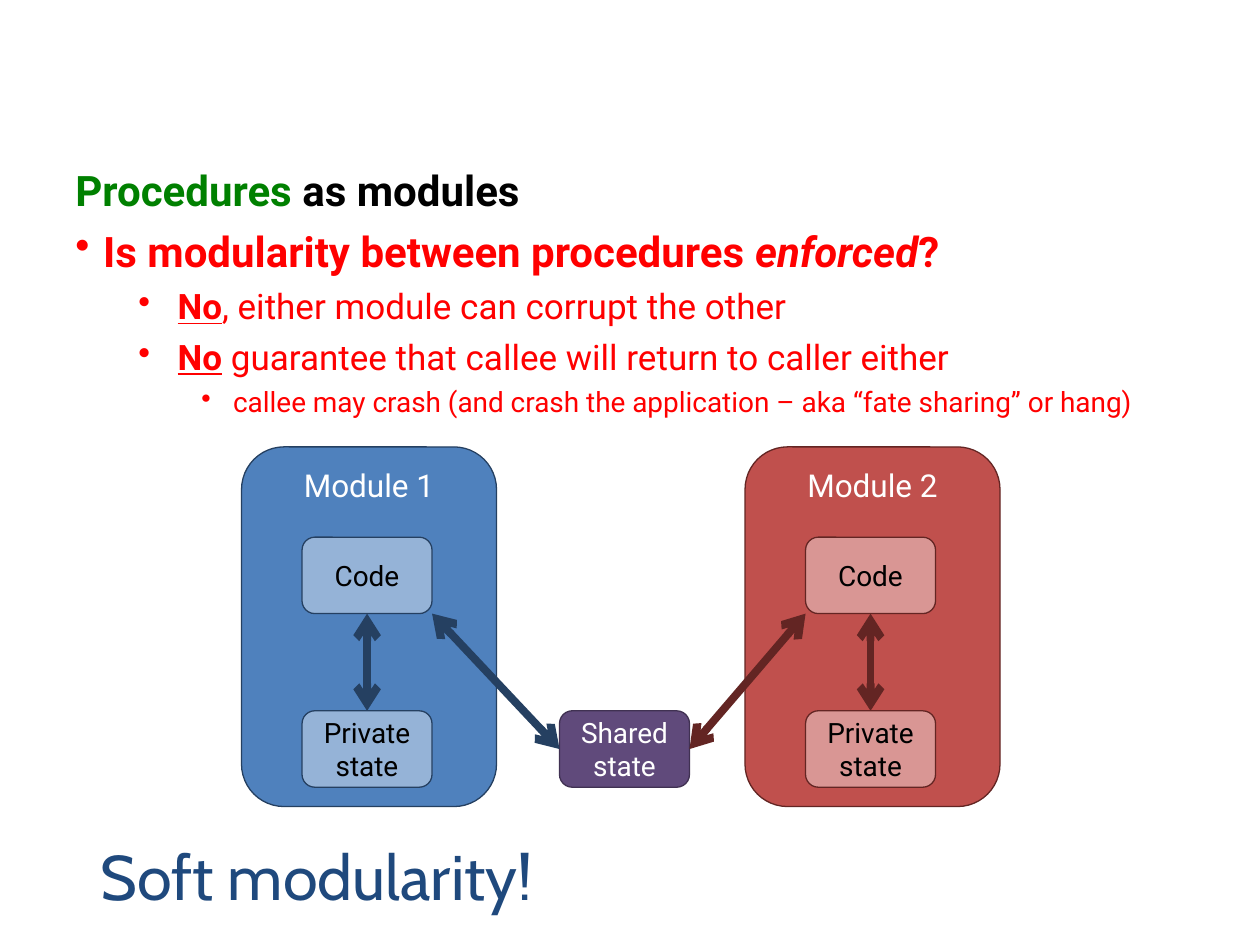
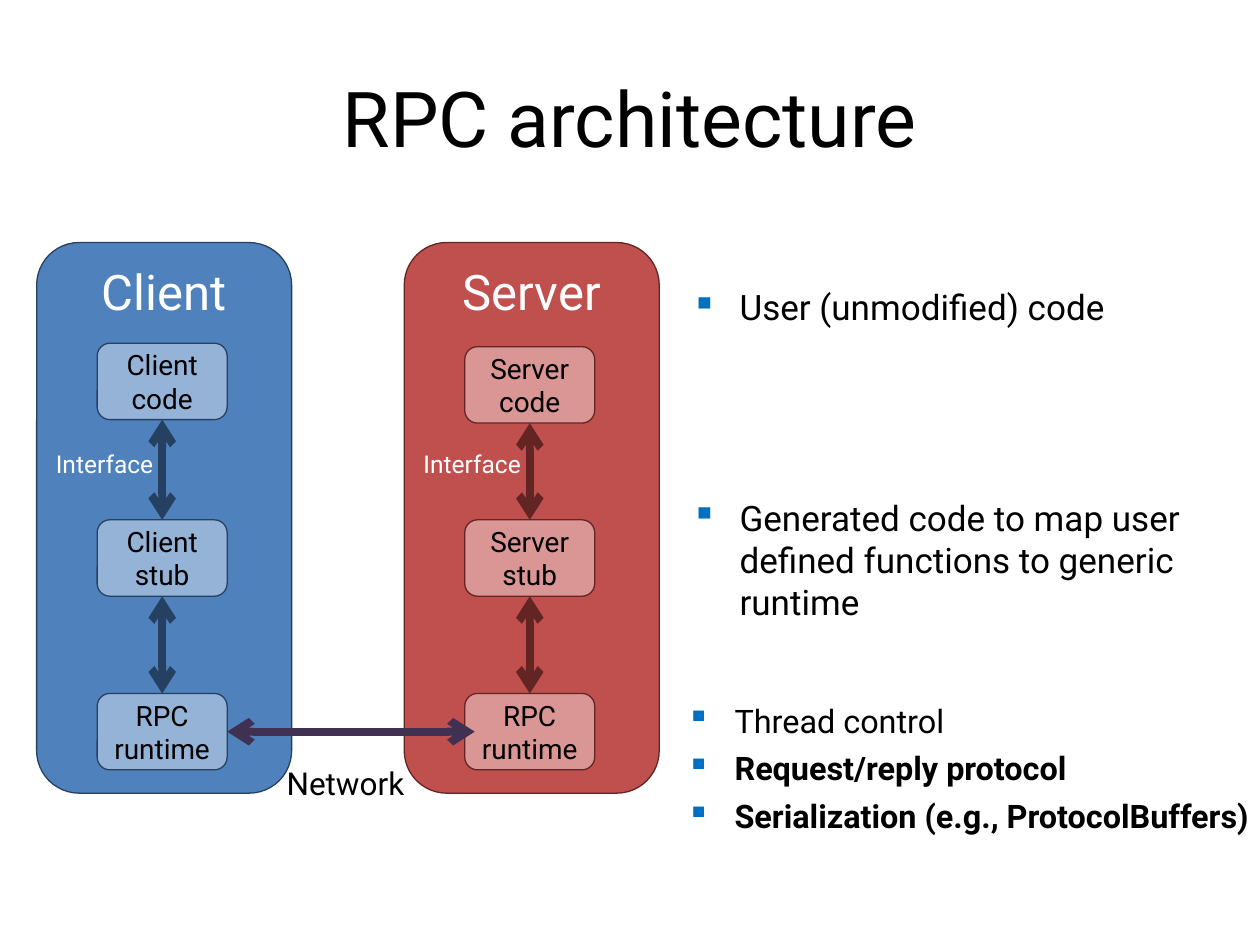
from dataclasses import dataclass, field
from itertools import pairwise
from typing import Any

from lxml.etree import SubElement
from pptx import Presentation
from pptx.dml.color import RGBColor
from pptx.enum.shapes import MSO_CONNECTOR, MSO_SHAPE
from pptx.enum.text import MSO_ANCHOR, PP_ALIGN
from pptx.oxml.ns import qn
from pptx.slide import Slide
from pptx.text.text import TextFrame
from pptx.util import Cm, Pt

COLORS = {
    "black": "000000",
    "white": "FFFFFF",
    "green": "008000",
    "red": "FF0000",
    "bullet blue": "0070C0",
    "heading blue": "1F497D",
    "blue": "4F81BD",
    "light blue": "95B3D7",
    "dark blue": "254061",
    "brick": "C0504D",
    "light brick": "D99694",
    "dark brick": "632523",
    "purple": "604A7B",
    "dark purple": "403152",
}
UNIT_WIDTH, UNIT_HEIGHT = 2.62, 1.54
MODULE_WIDTH = 5.14
UNIT_INSET = 1.22
BOLD = {"bold": True}
ITALIC = {"bold": True, "italic": True}
STRESSED = {"bold": True, "underline": True}


@dataclass(frozen=True)
class Theme:
    fill: str
    unit_fill: str
    line: str


@dataclass(frozen=True)
class Span:
    text: str
    color: str = "black"
    format: dict[str, Any] = field(default_factory=dict)


@dataclass(frozen=True)
class Bullet:
    symbol: str
    color: str
    margin: float
    hanging: float
    level: int = 0


@dataclass(frozen=True)
class Line:
    spans: tuple[Span, ...]
    size: float
    bullet: Bullet | None = None
    space: float = 0


@dataclass(frozen=True)
class Box:
    left: float
    top: float
    width: float
    height: float

    def lengths(self) -> tuple[Cm, Cm, Cm, Cm]:
        return Cm(self.left), Cm(self.top), Cm(self.width), Cm(self.height)


@dataclass(frozen=True)
class Unit:
    text: str
    top: float


@dataclass(frozen=True)
class Module:
    name: str
    name_size: float
    theme: Theme
    box: Box
    units: tuple[Unit, ...]


CLIENT_THEME = Theme("blue", "light blue", "dark blue")
SERVER_THEME = Theme("brick", "light brick", "dark brick")
TOP_DOT = Bullet("•", "red", 0.56, 0.56)
MIDDLE_DOT = Bullet("•", "red", 2.06, 0.79, 1)
LOW_DOT = Bullet("•", "red", 3.18, 0.64, 2)
SQUARE = Bullet("▪", "bullet blue", 0.97, 0.97)


def rgb(name: str) -> RGBColor:
    return RGBColor.from_string(COLORS[name])


def write_lines(
    frame: TextFrame,
    lines: list[Line],
    align: PP_ALIGN = PP_ALIGN.LEFT,
    font: str = "Roboto",
) -> None:
    for index, line in enumerate(lines):
        para = frame.paragraphs[0] if index == 0 else frame.add_paragraph()
        para.alignment = align
        if line.bullet:
            bullet = line.bullet
            para.level = bullet.level
            properties = para._p.get_or_add_pPr()
            properties.set("marL", str(Cm(bullet.margin)))
            properties.set("indent", str(-Cm(bullet.hanging)))
            color = SubElement(properties, qn("a:buClr"))
            SubElement(color, qn("a:srgbClr"), val=COLORS[bullet.color])
            SubElement(properties, qn("a:buChar"), char=bullet.symbol)
        para.space_before = Pt(line.space if index else 0)
        for piece in line.spans:
            span = para.add_run()
            span.text = piece.text
            values = {"name": font, "size": Pt(line.size)} | piece.format
            for name, value in values.items():
                setattr(span.font, name, value)
            span.font.color.rgb = rgb(piece.color)


def add_text(
    page: Slide,
    box: Box,
    lines: list[Line],
    align: PP_ALIGN = PP_ALIGN.LEFT,
    font: str = "Roboto",
    anchor: MSO_ANCHOR = MSO_ANCHOR.TOP,
    wrap: bool = True,
) -> None:
    frame = page.shapes.add_textbox(*box.lengths()).text_frame
    frame.word_wrap = wrap
    frame.vertical_anchor = anchor
    write_lines(frame, lines, align, font)


def add_block(
    page: Slide,
    box: Box,
    text: str,
    size: float,
    fill: str,
    line: str,
    color: str,
    anchor: MSO_ANCHOR = MSO_ANCHOR.MIDDLE,
) -> None:
    shape = page.shapes.add_shape(MSO_SHAPE.ROUNDED_RECTANGLE, *box.lengths())
    shape.shadow.inherit = False
    shape.fill.solid()
    shape.fill.fore_color.rgb = rgb(fill)
    shape.line.color.rgb = rgb(line)
    shape.line.width = Pt(0.75)
    shape.text_frame.vertical_anchor = anchor
    rows = [Line((Span(row, color),), size) for row in text.split("\n")]
    write_lines(shape.text_frame, rows, PP_ALIGN.CENTER)


def add_arrow(
    page: Slide, start: tuple[float, float], end: tuple[float, float], color: str
) -> None:
    ends = [Cm(value) for value in (*start, *end)]
    arrow = page.shapes.add_connector(MSO_CONNECTOR.STRAIGHT, *ends)
    arrow.line.color.rgb = rgb(color)
    arrow.line.width = Pt(4.5)
    properties = arrow.element.spPr
    outline = properties.find(qn("a:ln"))
    for tip in ("a:headEnd", "a:tailEnd"):
        SubElement(outline, qn(tip), type="arrow")
    SubElement(properties, qn("a:effectLst"))


def add_module(page: Slide, module: Module) -> None:
    theme = module.theme
    add_block(page, module.box, module.name, module.name_size, theme.fill,
              theme.line, "white", MSO_ANCHOR.TOP)
    left = module.box.left + UNIT_INSET
    for unit in module.units:
        box = Box(left, unit.top, UNIT_WIDTH, UNIT_HEIGHT)
        add_block(page, box, unit.text, 16, theme.unit_fill, theme.line, "black")
    center = left + UNIT_WIDTH / 2
    for upper, lower in pairwise(module.units):
        add_arrow(page, (center, upper.top + UNIT_HEIGHT), (center, lower.top),
                  theme.line)


def build_procedures(page: Slide) -> None:
    add_text(page, Box(1.27, 3.2, 23.75, 13.82), [
        Line((Span("Procedures ", "green", BOLD),
              Span("as modules", "black", BOLD)), 24),
        Line((Span("Is modularity between procedures ", "red", BOLD),
              Span("enforced", "red", ITALIC),
              Span("?", "red", BOLD)), 24, TOP_DOT, 6),
        Line((Span("No", "red", STRESSED),
              Span(", either module can corrupt the other", "red")),
             20, MIDDLE_DOT, 5),
        Line((Span("No", "red", STRESSED),
              Span(" guarantee that callee will return to caller either", "red")),
             20, MIDDLE_DOT, 5),
        Line((Span("callee may crash (and crash the application – aka "
                   "“fate sharing” or hang)", "red"),), 16, LOW_DOT, 4),
    ])
    code_top, state_top = 10.83, 14.33
    units = (Unit("Code", code_top), Unit("Private\nstate", state_top))
    first_left, second_left = 4.87, 15.02
    for number, left, theme in ((1, first_left, CLIENT_THEME),
                                (2, second_left, SERVER_THEME)):
        box = Box(left, 9.01, MODULE_WIDTH, 7.25)
        add_module(page, Module(f"Module {number}", 18, theme, box, units))
    shared = Box(11.28, state_top, UNIT_WIDTH, UNIT_HEIGHT)
    add_block(page, shared, "Shared\nstate", 16, "purple", "dark purple", "white")
    code_bottom = code_top + UNIT_HEIGHT
    shared_middle = state_top + UNIT_HEIGHT / 2
    add_arrow(page, (first_left + UNIT_INSET + UNIT_WIDTH, code_bottom),
              (shared.left, shared_middle), CLIENT_THEME.line)
    add_arrow(page, (second_left + UNIT_INSET, code_bottom),
              (shared.left + UNIT_WIDTH, shared_middle), SERVER_THEME.line)
    add_text(page, Box(1.78, 16.76, 12.85, 1.78),
             [Line((Span("Soft modularity!", "heading blue"),), 36)], font="Cabin")


def build_architecture(page: Slide) -> None:
    add_text(page, Box(1.27, 0.76, 22.86, 3.18),
             [Line((Span("RPC architecture"),), 44)],
             PP_ALIGN.CENTER, anchor=MSO_ANCHOR.MIDDLE)
    stub_top, runtime_top = 10.48, 13.98
    client_left, server_left = 0.74, 8.15
    for name, left, theme, code_top in (
        ("Client", client_left, CLIENT_THEME, 6.92),
        ("Server", server_left, SERVER_THEME, 6.99),
    ):
        units = (Unit(f"{name}\ncode", code_top), Unit(f"{name}\nstub", stub_top),
                 Unit("RPC\nruntime", runtime_top))
        box = Box(left, 4.89, MODULE_WIDTH, 11.1)
        add_module(page, Module(name, 28, theme, box, units))
        add_text(page, Box(left + 0.06, 8.92, 2.62, 0.86),
                 [Line((Span("Interface", "white"),), 14)],
                 PP_ALIGN.CENTER, wrap=False)
    runtime_middle = runtime_top + UNIT_HEIGHT / 2
    add_arrow(page, (server_left + UNIT_INSET + 0.2, runtime_middle),
              (client_left + UNIT_INSET + UNIT_WIDTH, runtime_middle), "dark purple")
    add_text(page, Box(5.44, 15.27, 3.05, 1.02),
             [Line((Span("Network"),), 18)], PP_ALIGN.CENTER, wrap=False)
    for top, note in (
        (5.64, "User (unmodified) code"),
        (9.88, "Generated code to map user defined functions to generic runtime"),
    ):
        add_text(page, Box(13.69, top, 10.97, 3.76),
                 [Line((Span(note),), 20, SQUARE)])
    add_text(page, Box(13.59, 14, 13.61, 3.76), [
        Line((Span(text, "black", values),), 18.5, SQUARE, 5)
        for text, values in (
            ("Thread control", {}),
            ("Request/reply protocol", BOLD),
            ("Serialization (e.g., ProtocolBuffers)", BOLD),
        )
    ])


def main() -> None:
    deck = Presentation()
    deck.slide_width, deck.slide_height = Cm(25.4), Cm(19.05)
    for build in (build_procedures, build_architecture):
        build(deck.slides.add_slide(deck.slide_layouts[6]))
    deck.save("out.pptx")


if __name__ == "__main__":
    main()
